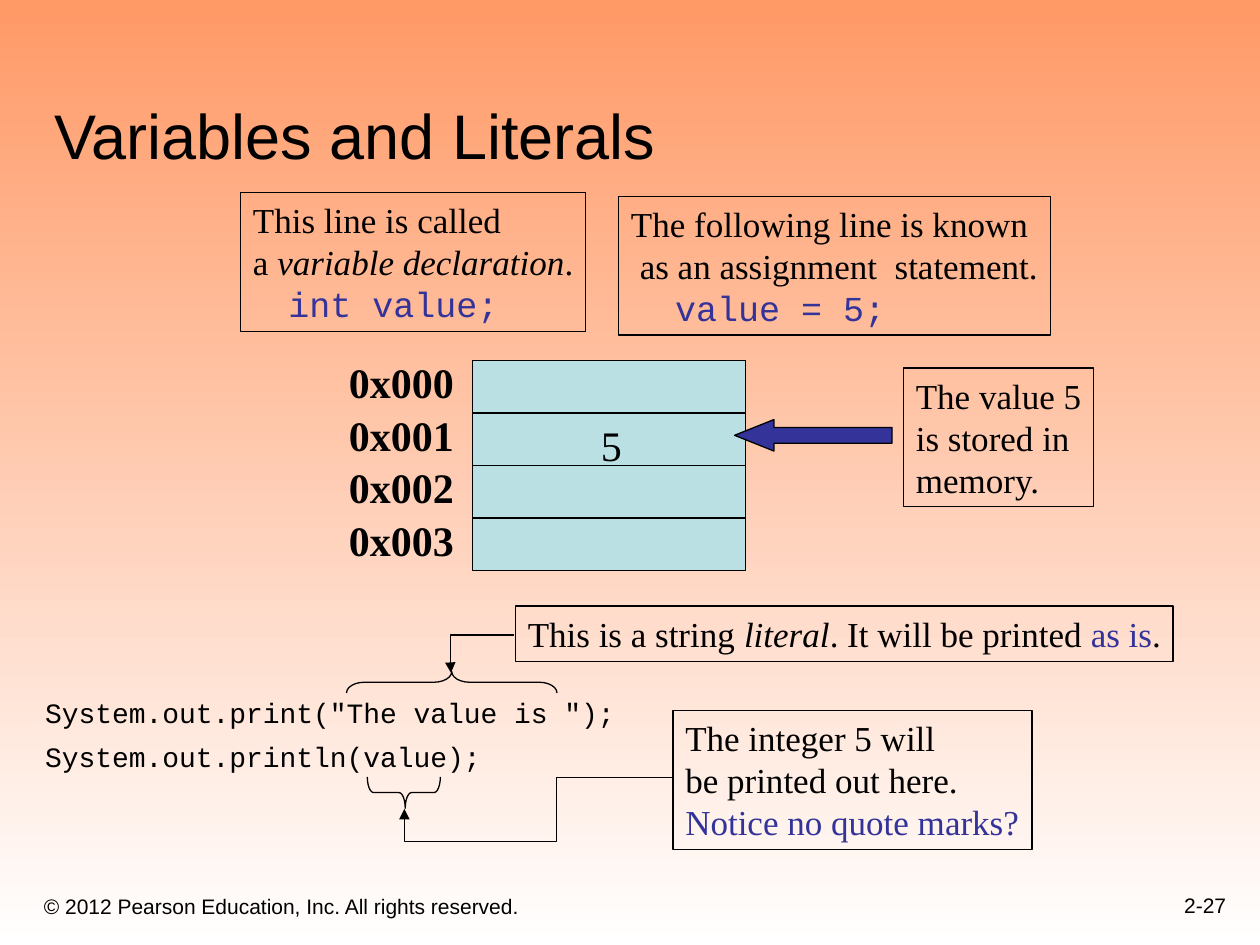
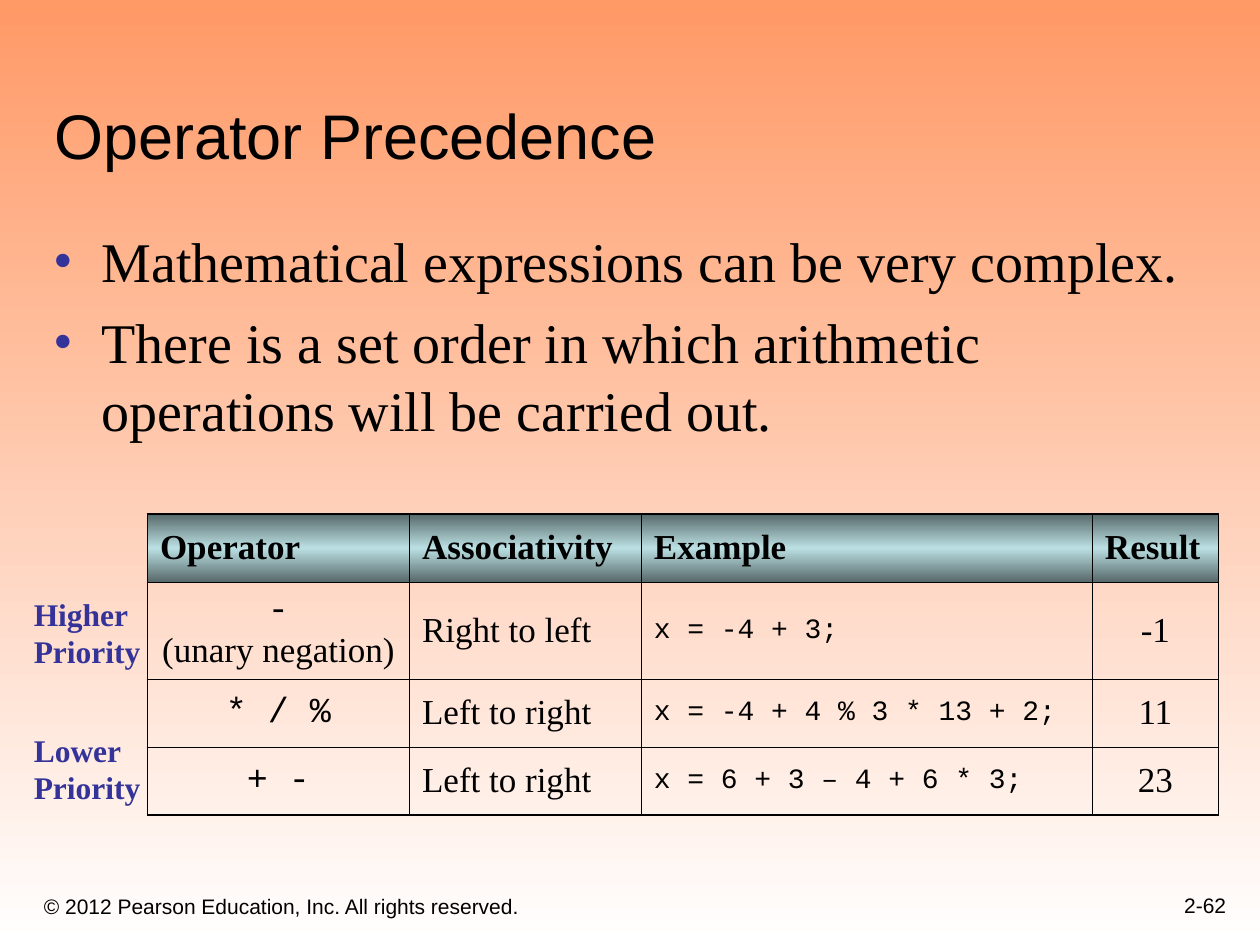
"""Build two Java lecture slides: variables and literals, and operator precedence."""
from copy import deepcopy
from dataclasses import dataclass

from lxml.etree import SubElement
from pptx import Presentation
from pptx.dml.color import RGBColor
from pptx.enum.shapes import MSO_CONNECTOR, MSO_SHAPE
from pptx.enum.text import MSO_ANCHOR, MSO_AUTO_SIZE, PP_ALIGN
from pptx.oxml.ns import qn
from pptx.util import Inches, Pt


@dataclass(frozen=True)
class Theme:
    """Colours, fonts and type sizes shared by the slides."""
    black: str = "000000"
    accent: str = "333399"
    cell: str = "BBE0E3"
    backdrop: tuple = ((0, "FF9966"), (1, "FFFFFF"))
    header: tuple = ((0, "576869"), (0.5, "BBE0E3"), (1, "576869"))
    sans: str = "Arial"
    serif: str = "Times New Roman"
    mono: str = "Courier New"
    title: int = 36
    bullet: int = 32
    memory: int = 24
    body: int = 20
    priority: int = 18
    code: int = 16
    footer: int = 12
    line: float = 0.75
    inner_border: float = 0.45
    outer_border: float = 1.08


THEME = Theme()


def style(name, size, color=THEME.black, **extra):
    """Return the format values of a run."""
    return dict(name=name, size=Pt(size), color=color, **extra)


def line(*runs, indent=0):
    """Return one paragraph as its left indent and its runs."""
    return indent, runs


TITLE = style(THEME.sans, THEME.title)
FOOTER = style(THEME.sans, THEME.footer)
BULLET = style(THEME.serif, THEME.bullet)
BODY = style(THEME.serif, THEME.body)
BODY_ITALIC = dict(BODY, italic=True)
BODY_BOLD = dict(BODY, bold=True)
BODY_ACCENT = dict(BODY, color=THEME.accent)
BODY_MONO = style(THEME.mono, THEME.body)
STATEMENT = dict(BODY_MONO, color=THEME.accent)
CODE = style(THEME.mono, THEME.code)
MEMORY = style(THEME.serif, THEME.memory)
ADDRESS = dict(MEMORY, bold=True)
PRIORITY = style(THEME.serif, THEME.priority, THEME.accent, bold=True)

COPYRIGHT = "© 2012 Pearson Education, Inc. All rights reserved."

CALLOUTS = [
    ((1.91, 1.53, 2.74, 1.1), [
        line(("This line is called", BODY)),
        line(("a ", BODY), ("variable declaration", BODY_ITALIC), (".", BODY)),
        line(("int value;", STATEMENT), indent=0.28)]),
    ((4.91, 1.56, 3.43, 1.1), [
        line(("The following line is known", BODY)),
        line(("as an assignment  statement.", BODY), indent=0.07),
        line(("value = 5;", STATEMENT), indent=0.35)]),
    ((4.09, 4.81, 5.22, 0.44), [
        line(("This is a string ", BODY), ("literal", BODY_ITALIC),
             (". It will be printed ", BODY), ("as is", BODY_ACCENT), (".", BODY))]),
    ((5.34, 5.64, 2.85, 1.1), [
        line(("The integer 5 will", BODY)),
        line(("be printed out here.", BODY)),
        line(("Notice no quote marks?", BODY_ACCENT))]),
    ((7.17, 2.92, 1.51, 1.1), [
        line((text, BODY)) for text in ("The value 5", "is stored in", "memory.")]),
]
PRINT_CODE = ['System.out.print("The value is ");', "System.out.println(value);"]
BRACES = [
    ((3.5, 4.58, 0.17, 1.67), 90, (0.83, 0.5)),
    ((3.08, 6, 0.25, 0.58), 270, (0.2, 0.52)),
]
POINTERS = [
    ((4.08, 5.04), (3.58, 5.34), "bentConnector3", (1.01,)),
    ((5.33, 6.17), (3.21, 6.42), "bentConnector4", (0.43, 2.03)),
]
ADDRESSES = ["0x000", "0x001", "0x002", "0x003"]
MEMORY_BOX = (3.75, 2.86, 2.17, 1.67)

BULLETS = [
    "Mathematical expressions can be very complex.",
    "There is a set order in which arithmetic operations will be carried out.",
]
HEADINGS = ["Operator", "Associativity", "Example", "Result"]
OPERATORS = [
    ((("-", BODY_MONO), ("\n", BODY_MONO), ("(unary negation)", BODY)),
     "Right to left", "x = -4 + 3;", "-1"),
    ((("* / %", BODY_MONO),), "Left to right", "x = -4 + 4 % 3 * 13 + 2;", "11"),
    ((("+ -", BODY_MONO),), "Left to right", "x = 6 + 3 – 4 + 6 * 3;", "23"),
]
TABLE_BOX = (1.17, 4.08, 8.5, 2.39)
COLUMN_WIDTHS = [2.08, 1.84, 3.58, 1]
ROW_HEIGHTS = [0.54, 0.77, 0.54, 0.54]
PRIORITIES = [("Higher", 4.67), ("Lower", 5.75)]


def inches(values):
    """Convert numbers to lengths."""
    return [Inches(value) for value in values]


def set_all(target, **values):
    """Set several attributes of one object."""
    for key, value in values.items():
        setattr(target, key, value)


def write(frame, paragraphs, **layout):
    """Fill a text frame with paragraphs of formatted runs."""
    for index, (indent, runs) in enumerate(paragraphs):
        paragraph = frame.add_paragraph() if index else frame.paragraphs[0]
        values = dict(dict(alignment=PP_ALIGN.LEFT), **layout)
        if not index:
            values.pop("space_before", None)
        set_all(paragraph, **values)
        if indent:
            paragraph._p.get_or_add_pPr().set("marL", str(Inches(indent)))
        for text, values in runs:
            if text == "\n":
                paragraph.add_line_break()
                continue
            run = paragraph.add_run()
            run.text = text
            set_all(run.font, **{key: value for key, value in values.items() if key != "color"})
            run.font.color.rgb = RGBColor.from_string(values["color"])


def add_text(slide, box, paragraphs, wrap=False, anchor=MSO_ANCHOR.TOP, **layout):
    """Add a text box and return its frame."""
    frame = slide.shapes.add_textbox(*inches(box)).text_frame
    set_all(frame, word_wrap=wrap, vertical_anchor=anchor)
    write(frame, paragraphs, **layout)
    return frame


def add_outlined(slide, kind, box, fill=None):
    """Add a preset shape with a thin black line."""
    shape = slide.shapes.add_shape(kind, *inches(box))
    shape.shadow.inherit = False
    if fill:
        shape.fill.solid()
        shape.fill.fore_color.rgb = RGBColor.from_string(fill)
    else:
        shape.fill.background()
    draw_line(shape.line)
    return shape


def draw_line(outline):
    """Give a line the shared width and colour."""
    outline.width = Pt(THEME.line)
    outline.color.rgb = RGBColor.from_string(THEME.black)


def paint_gradient(fill, holder, stops):
    """Fill from top to bottom with the given stops."""
    fill.gradient()
    fill.gradient_angle = 270
    stop_list = holder.find(".//" + qn("a:gsLst"))
    for _ in stops[2:]:
        stop_list.append(deepcopy(stop_list[0]))
    for stop, (position, color) in zip(fill.gradient_stops, stops):
        stop.position = position
        stop.color.rgb = RGBColor.from_string(color)


def add_pointer(slide, start, end, preset, bends):
    """Add a bent connector with an arrowhead at its end."""
    pointer = slide.shapes.add_connector(MSO_CONNECTOR.ELBOW, *inches(start + end))
    draw_line(pointer.line)
    properties = pointer._element.spPr
    geometry = properties.find(qn("a:prstGeom"))
    geometry.set("prst", preset)
    guides = geometry.find(qn("a:avLst"))
    for number, bend in enumerate(bends, 1):
        SubElement(guides, qn("a:gd"), name=f"adj{number}", fmla=f"val {round(bend * 100000)}")
    SubElement(properties.find(qn("a:ln")), qn("a:tailEnd"), type="triangle")
    SubElement(properties, qn("a:effectLst"))


def add_slide(deck, title, number):
    """Add a slide with its title, copyright line and page number."""
    slide = deck.slides.add_slide(deck.slide_layouts[5])
    heading = slide.shapes.title
    left, top, width, height = inches((0.33, 0.33, 9.42, 1.09))
    set_all(heading, left=left, top=top, width=width, height=height)
    set_all(heading.text_frame, vertical_anchor=MSO_ANCHOR.BOTTOM, auto_size=MSO_AUTO_SIZE.NONE)
    write(heading.text_frame, [line((title, TITLE))])
    for box, text, alignment in [((0.25, 6.92, 6.08, 0.42), COPYRIGHT, PP_ALIGN.LEFT),
                                 ((7.75, 6.83, 2.08, 0.5), number, PP_ALIGN.RIGHT)]:
        add_text(slide, box, [line((text, FOOTER))], wrap=True,
                 anchor=MSO_ANCHOR.BOTTOM, alignment=alignment)
    return slide


def add_memory(slide):
    """Draw the memory cells, their addresses and the stored value."""
    left, top, width, height = MEMORY_BOX
    step = height / len(ADDRESSES)
    for index, address in enumerate(ADDRESSES):
        cell_top = top + index * step
        add_outlined(slide, MSO_SHAPE.RECTANGLE, (left, cell_top, width, step), THEME.cell)
        add_text(slide, (2.67, cell_top - 0.08, 1.03, 0.5), [line((address, ADDRESS))])
    add_text(slide, (4.67, top + step, 0.36, 0.5), [line(("5", MEMORY))])


def build_variables(deck):
    """Build the slide on variables and literals."""
    slide = add_slide(deck, "Variables and Literals", "2-27")
    for box, paragraphs in CALLOUTS:
        frame = add_outlined(slide, MSO_SHAPE.RECTANGLE, box).text_frame
        set_all(frame, word_wrap=False, vertical_anchor=MSO_ANCHOR.TOP)
        write(frame, paragraphs)
    add_text(slide, (0.26, 5.5, 4.72, 0.69), [line((text, CODE)) for text in PRINT_CODE],
             line_spacing=0.9, space_before=Pt(4), space_after=Pt(4))
    for box, rotation, bends in BRACES:
        brace = add_outlined(slide, MSO_SHAPE.LEFT_BRACE, box)
        brace.rotation = rotation
        brace.adjustments[0], brace.adjustments[1] = bends
    for pointer in POINTERS:
        add_pointer(slide, *pointer)
    add_memory(slide)
    arrow = add_outlined(slide, MSO_SHAPE.LEFT_ARROW, (5.83, 3.33, 1.25, 0.25), THEME.accent)
    arrow.adjustments[0], arrow.adjustments[1] = 0.5, 1.25


def add_borders(cell, outer_sides):
    """Draw the four borders of a cell, heavier on the table's edge."""
    properties = cell._tc.get_or_add_tcPr()
    for side in "LRTB":
        width = THEME.outer_border if side in outer_sides else THEME.inner_border
        border = SubElement(properties, qn(f"a:ln{side}"), w=str(Pt(width)))
        SubElement(SubElement(border, qn("a:solidFill")), qn("a:srgbClr"), val=THEME.black)


def add_precedence_table(slide):
    """Add the table of operators."""
    rows = [[((text, BODY_BOLD),) for text in HEADINGS]]
    for operator, associativity, example, result in OPERATORS:
        rows.append([operator, ((associativity, BODY),), ((example, CODE),), ((result, BODY),)])
    table = slide.shapes.add_table(len(rows), len(HEADINGS), *inches(TABLE_BOX)).table
    set_all(table, first_row=False, horz_banding=False)
    for column, width in zip(table.columns, COLUMN_WIDTHS):
        column.width = Inches(width)
    for row, height in zip(table.rows, ROW_HEIGHTS):
        row.height = Inches(height)
    last_row, last_column = len(rows) - 1, len(HEADINGS) - 1
    for r, row in enumerate(rows):
        for c, runs in enumerate(row):
            cell = table.cell(r, c)
            cell.vertical_anchor = MSO_ANCHOR.MIDDLE
            edges = dict(L=c == 0, R=c == last_column, T=r == 0, B=r == last_row)
            add_borders(cell, [side for side, outer in edges.items() if outer])
            if r:
                cell.fill.background()
            else:
                paint_gradient(cell.fill, cell._tc, THEME.header)
            centred = r and c in (0, last_column)
            write(cell.text_frame, [line(*runs)],
                  alignment=PP_ALIGN.CENTER if centred else PP_ALIGN.LEFT)


def build_precedence(deck):
    """Build the slide on operator precedence."""
    slide = add_slide(deck, "Operator Precedence", "2-62")
    points = add_text(slide, (0.33, 1.75, 9.07, 5),
                      [line((text, BULLET), indent=0.38) for text in BULLETS],
                      wrap=True, space_before=Pt(8))
    points.margin_right = 0
    for paragraph in points.paragraphs:
        properties = paragraph._p.get_or_add_pPr()
        properties.set("indent", str(-Inches(0.38)))
        SubElement(SubElement(properties, qn("a:buClr")), qn("a:srgbClr"), val=THEME.accent)
        SubElement(properties, qn("a:buFont"), typeface=THEME.serif)
        SubElement(properties, qn("a:buChar"), char="•")
    add_precedence_table(slide)
    for level, top in PRIORITIES:
        add_text(slide, (0.17, top, 1.1, 0.7),
                 [line((text, PRIORITY)) for text in (level, "Priority")])


def main():
    """Create and save the presentation."""
    deck = Presentation()
    set_all(deck, slide_width=Inches(10), slide_height=Inches(7.5))
    master = deck.slide_master
    paint_gradient(master.background.fill, master._element, THEME.backdrop)
    build_variables(deck)
    build_precedence(deck)
    deck.save("out.pptx")


if __name__ == "__main__":
    main()
